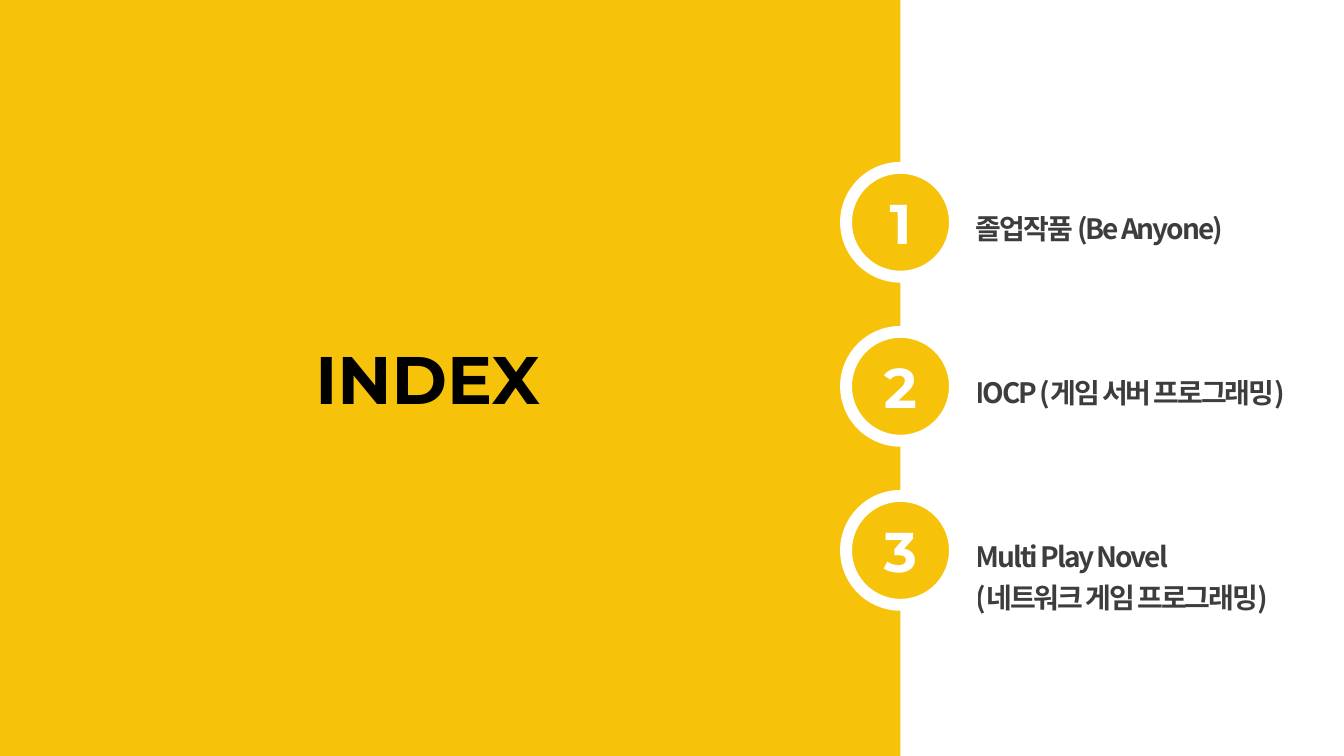
from lxml import etree
from pptx import Presentation
from pptx import util as u
from pptx.dml.color import RGBColor
from pptx.enum import shapes, text
from pptx.oxml import ns

HUES = {"gold": "F6C30A", "white": "FFFFFF", "black": "000000", "ink": "0D0D0D"}
HEAD, BODY = "Montserrat", "Noto Sans CJK KR"


def write(frame, words, font=HEAD, size=20, hue="black", align="LEFT",
          lead=None, space=None, alpha=None):
    for i, line in enumerate(words.split("\n")):
        par = frame.paragraphs[0] if i == 0 else frame.add_paragraph()
        par.alignment = text.PP_ALIGN[align]
        if lead:
            par.line_spacing = lead
        run = par.add_run()
        run.text = line
        face = run.font
        face.name, face.size, face.bold = font, u.Pt(size), True
        face.color.rgb = RGBColor.from_string(HUES[hue])
        props = run._r.get_or_add_rPr()
        etree.SubElement(props, ns.qn("a:ea"), typeface=font)
        if space:
            props.set("spc", str(int(space * 100)))
        if alpha:
            tint = props.find(ns.qn("a:solidFill"))[0]
            etree.SubElement(tint, ns.qn("a:alpha"), val=str(alpha * 1000))


class Deck:
    """Draws styled parts on a slide split into 100 columns and 100 rows."""

    def __init__(self):
        self.prs = Presentation()
        self.prs.slide_width, self.prs.slide_height = u.Inches(13.33), u.Inches(7.5)
        self.slide = self.prs.slides.add_slide(self.prs.slide_layouts[6])

    def place(self, col, row, wide, high):
        cell_w, cell_h = self.prs.slide_width / 100, self.prs.slide_height / 100
        return [int(n) for n in (col * cell_w, row * cell_h, wide * cell_w, high * cell_h)]

    def shape(self, kind, *box, edge=None):
        item = self.slide.shapes.add_shape(shapes.MSO_SHAPE[kind], *self.place(*box))
        item.shadow.inherit = False
        item.fill.solid()
        item.fill.fore_color.rgb = RGBColor.from_string(HUES["gold"])
        if edge:
            item.line.color.rgb = RGBColor.from_string(HUES["white"])
            item.line.width = u.Pt(edge)
        else:
            item.line.fill.background()
        return item

    def badge(self, mid_x, mid_y, mark):
        wide, high = 8.1, 14.4
        disc = self.shape("OVAL", mid_x - wide / 2, mid_y - high / 2, wide, high, edge=8.5)
        disc.text_frame.vertical_anchor = text.MSO_ANCHOR.MIDDLE
        write(disc.text_frame, mark, size=40, hue="white", align="CENTER")

    def label(self, words, *box, wrap=False, **style):
        frame = self.slide.shapes.add_textbox(*self.place(*box)).text_frame
        frame.word_wrap = wrap
        frame.auto_size = text.MSO_AUTO_SIZE.SHAPE_TO_FIT_TEXT
        write(frame, words, **style)


def main():
    deck = Deck()
    split, first, step = 67, 29.4, 21.7
    deck.shape("RECTANGLE", 0, 0, split, 100)
    deck.label("INDEX", 22.73, 44, 21.53, 12.1, wrap=True, size=48)
    topics = [
        ("졸업작품 (Be Anyone)", 20.5, 6.3),
        ("IOCP (게임 서버 프로그래밍)", 26.25, 6.3),
        ("Multi Play Novel\n(네트워크 게임 프로그래밍)", 25.28, 11.6),
    ]
    for i, (words, wide, high) in enumerate(topics):
        mid = first + i * step
        deck.badge(split, mid, str(i + 1))
        deck.label(words, 71.87, mid - 2.95, wide, high, font=BODY, hue="ink",
                   lead=1.2, space=-1.5, alpha=80)
    deck.prs.save("out.pptx")


if __name__ == "__main__":
    main()
